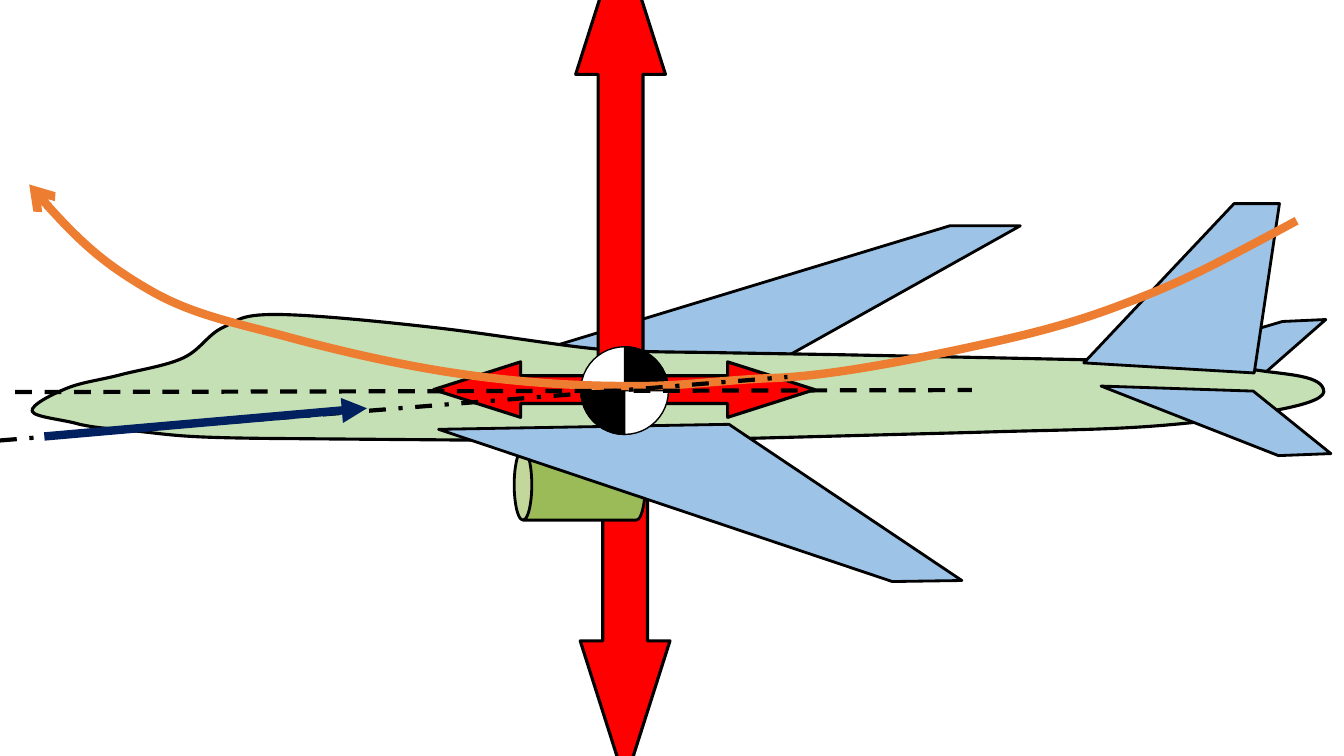
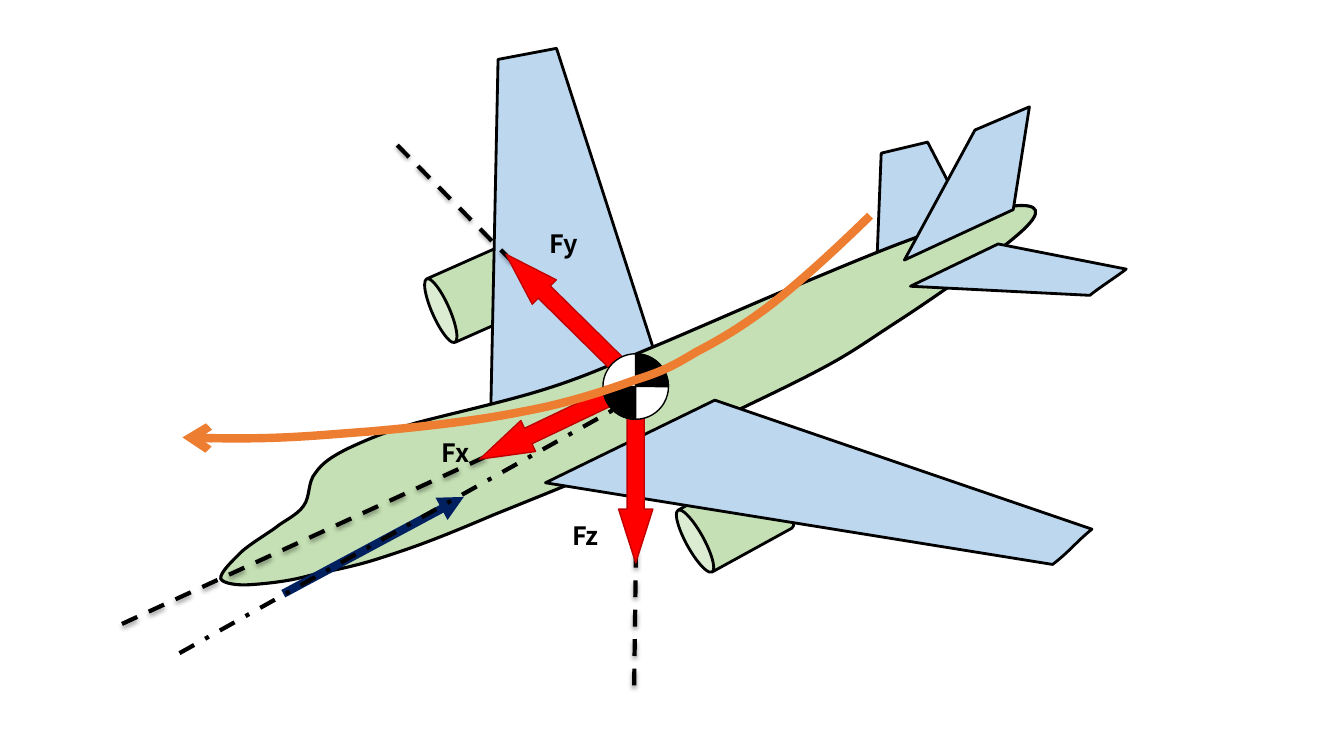
"""Two diagrams of the forces acting on an aircraft."""
from dataclasses import dataclass
from typing import Any, Optional

from lxml import etree
from pptx import Presentation
from pptx import util as u
from pptx.dml.color import RGBColor
from pptx.enum import dml, shapes, text
from pptx.oxml.ns import qn

FONT = "Noto Sans CJK JP"
BLACK = RGBColor(0x00, 0x00, 0x00)
WHITE = RGBColor(0xFF, 0xFF, 0xFF)
RED = RGBColor(0xFF, 0x00, 0x00)
DARK_RED = RGBColor(0xC0, 0x00, 0x00)
NAVY = RGBColor(0x00, 0x20, 0x60)
ORANGE = RGBColor(0xED, 0x7D, 0x31)
BODY_GREEN = RGBColor(0xC5, 0xE0, 0xB4)
ENGINE_GREEN = RGBColor(0x9B, 0xBB, 0x59)
WING_BLUE = RGBColor(0x9D, 0xC3, 0xE6)
PALE_WING_BLUE = RGBColor(0xBD, 0xD7, 0xEE)

Shape = shapes.MSO_SHAPE
Dash = dml.MSO_LINE
ARROW_ADJUSTMENTS = (0.5, 1.57)
QUADRANT_ADJUSTMENTS = (162, 0)  # from 270 to 0 degrees


@dataclass(frozen=True)
class Block:
    """A preset shape; its frame is given before rotation."""
    kind: Any
    left: float
    top: float
    width: float
    height: float
    fill: RGBColor
    rotation: float = 0
    line: RGBColor = BLACK
    weight: float = 2
    adjustments: tuple[float, ...] = ()


@dataclass(frozen=True)
class Outline:
    """A path: two numbers make a straight segment, six a Bezier curve."""
    start: tuple[float, float]
    segments: tuple[tuple[float, ...], ...]
    fill: Optional[RGBColor] = None
    line: RGBColor = BLACK
    weight: float = 2
    head: str = ""


@dataclass(frozen=True)
class Axis:
    """A straight line between two points."""
    begin: tuple[float, float]
    end: tuple[float, float]
    color: RGBColor = BLACK
    weight: float = 3
    dash: Any = None
    tail: str = ""
    shadow: bool = False


@dataclass(frozen=True)
class Gravity:
    """A centre of gravity marker."""
    left: float
    top: float
    size: float


@dataclass(frozen=True)
class Label:
    """The name of a force."""
    wording: str
    left: float
    top: float


def force(left: float, top: float, width: float, height: float, rotation: float,
          line: RGBColor = BLACK, weight: float = 2.25) -> Block:
    """Describe a red block arrow."""
    return Block(Shape.RIGHT_ARROW, left, top, width, height, RED, rotation,
                 line, weight, ARROW_ADJUSTMENTS)


def engine(left: float, top: float, width: float, height: float,
           rotation: float, fill: RGBColor) -> Block:
    """Describe an engine as a tilted can."""
    return Block(Shape.CAN, left, top, width, height, fill, rotation)


def surface(fill: RGBColor, start: tuple[float, float],
            *segments: tuple[float, ...]) -> Outline:
    """Describe a wing, a fin or a tailplane."""
    return Outline(start, segments, fill)


def flight_path(start: tuple[float, float],
                *segments: tuple[float, ...]) -> Outline:
    """Describe the orange curve, with its arrowhead at the start."""
    return Outline(start, segments, line=ORANGE, weight=6, head="arrow")


def wind(begin: tuple[float, float], end: tuple[float, float]) -> Axis:
    """Describe the navy arrow of the incoming air."""
    return Axis(begin, end, NAVY, 6, tail="triangle")


def style_line(shape: Any, color: RGBColor, weight: float, dash: Any = None,
               **ends: str) -> None:
    """Format a line; ends maps headEnd and tailEnd to arrowhead types."""
    shape.line.color.rgb = color
    shape.line.width = u.Pt(weight)
    if dash is not None:
        shape.line.dash_style = dash
    line = shape._element.spPr.find(qn("a:ln"))
    for tag, kind in ends.items():
        if kind:
            etree.SubElement(line, qn(f"a:{tag}"), type=kind)


def draw_block(container: Any, block: Block) -> None:
    """Draw a preset shape."""
    shape = container.add_shape(block.kind, u.Inches(block.left), u.Inches(block.top),
                                u.Inches(block.width), u.Inches(block.height))
    for index, value in enumerate(block.adjustments):
        shape.adjustments[index] = value
    shape.rotation = block.rotation
    shape.fill.solid()
    shape.fill.fore_color.rgb = block.fill
    shape.shadow.inherit = False
    style_line(shape, block.line, block.weight)


def bend_segments(shape: Any, segments: tuple[tuple[float, ...], ...]) -> None:
    """Turn the three straight steps of each six-number segment into a curve."""
    steps = iter(list(shape._element.iter(qn("a:lnTo"))))
    for segment in segments:
        group = [next(steps) for _ in range(len(segment) // 2)]
        if len(group) == 3:
            curve = etree.Element(qn("a:cubicBezTo"))
            group[0].addprevious(curve)
            for step in group:
                curve.append(step[0])
                step.getparent().remove(step)


def draw_outline(container: Any, outline: Outline) -> None:
    """Draw a filled closed outline, or an open one when it has no fill."""
    points = [(u.Inches(x), u.Inches(y)) for segment in outline.segments
              for x, y in zip(segment[::2], segment[1::2])]
    x, y = outline.start
    builder = container.build_freeform(u.Inches(x), u.Inches(y))
    builder.add_line_segments(points, close=outline.fill is not None)
    shape = builder.convert_to_shape()
    bend_segments(shape, outline.segments)
    if outline.fill is None:
        shape.fill.background()
    else:
        shape.fill.solid()
        shape.fill.fore_color.rgb = outline.fill
    shape.shadow.inherit = False
    style_line(shape, outline.line, outline.weight, headEnd=outline.head)


def draw_axis(container: Any, axis: Axis) -> None:
    """Draw a line, with a soft shadow if asked."""
    ends = [u.Inches(value) for value in axis.begin + axis.end]
    connector = container.add_connector(shapes.MSO_CONNECTOR.STRAIGHT, *ends)
    style_line(connector, axis.color, axis.weight, axis.dash, tailEnd=axis.tail)
    effects = etree.SubElement(connector._element.spPr, qn("a:effectLst"))
    if axis.shadow:
        shadow = etree.SubElement(effects, qn("a:outerShdw"), blurRad="40000",
                                  dist="20000", dir="5400000", rotWithShape="0")
        color = etree.SubElement(shadow, qn("a:srgbClr"), val=str(BLACK))
        etree.SubElement(color, qn("a:alpha"), val="38000")


def draw_gravity(container: Any, mark: Gravity) -> None:
    """Draw a white disc with two opposite black quadrants."""
    group = container.add_group_shape().shapes
    frame = (mark.left, mark.top, mark.size, mark.size)
    draw_block(group, Block(Shape.OVAL, *frame, WHITE, weight=1))
    for rotation in (0, 180):
        draw_block(group, Block(Shape.PIE, *frame, BLACK, rotation, weight=1,
                                adjustments=QUADRANT_ADJUSTMENTS))


def add_text(container: Any, wording: str, left: float, top: float, *,
             width: float = 0.66, height: float = 0.4, size: float = 18,
             bold: bool = True, color: RGBColor = BLACK) -> None:
    """Add a text box with one formatted run."""
    box = container.add_textbox(u.Inches(left), u.Inches(top),
                                u.Inches(width), u.Inches(height))
    frame = box.text_frame
    frame.word_wrap = True
    frame.auto_size = text.MSO_AUTO_SIZE.SHAPE_TO_FIT_TEXT
    run = frame.paragraphs[0].add_run()
    run.text = wording
    run.font.name, run.font.size, run.font.bold = FONT, u.Pt(size), bold
    run.font.color.rgb = color


def draw_label(container: Any, label: Label) -> None:
    """Write the name of a force."""
    add_text(container, label.wording, label.left, label.top)


DRAWERS = {Block: draw_block, Outline: draw_outline, Axis: draw_axis,
           Gravity: draw_gravity, Label: draw_label}

SIDE_FUSELAGE = Outline((0.32, 4.08), (
    (0.3, 4.02, 0.52, 3.91, 0.67, 3.85), (0.82, 3.79, 1, 3.77, 1.19, 3.72),
    (1.38, 3.67, 1.65, 3.63, 1.82, 3.55), (1.99, 3.47, 2.06, 3.32, 2.21, 3.25),
    (2.36, 3.18, 2.38, 3.12, 2.73, 3.12), (3.08, 3.12, 3.78, 3.19, 4.31, 3.25),
    (4.84, 3.31, 5.42, 3.41, 5.89, 3.46), (6.37, 3.5, 6.76, 3.49, 7.17, 3.5),
    (8.35, 3.52), (9.86, 3.55), (11.24, 3.58),
    (11.67, 3.6, 12.13, 3.62, 12.45, 3.67), (12.76, 3.72, 13.13, 3.72, 13.13, 3.89),
    (13.1, 4.04, 12.32, 4.12, 11.85, 4.19), (11.12, 4.27, 10.6, 4.26, 9.67, 4.29),
    (6.28, 4.38), (2.63, 4.35),
    (1.81, 4.34, 1.75, 4.32, 1.38, 4.28), (1.08, 4.25, 0.97, 4.25, 0.79, 4.21),
    (0.62, 4.16, 0.34, 4.14, 0.32, 4.08)), BODY_GREEN, weight=2.25)

OBLIQUE_FUSELAGE = Outline((3.76, 5.54), (
    (3.45, 5.64, 3.21, 5.67, 3.03, 5.72), (2.84, 5.77, 2.63, 5.79, 2.49, 5.8),
    (2.36, 5.81, 2.21, 5.79, 2.19, 5.74), (2.18, 5.68, 2.31, 5.56, 2.4, 5.47),
    (2.49, 5.39, 2.66, 5.29, 2.74, 5.23), (2.81, 5.17, 2.95, 5.11, 3.01, 5.02),
    (3.08, 4.93, 3.05, 4.78, 3.13, 4.69), (3.2, 4.59, 3.29, 4.53, 3.45, 4.45),
    (3.62, 4.37, 3.78, 4.3, 4.11, 4.2), (4.44, 4.11, 5.04, 3.98, 5.44, 3.85),
    (5.85, 3.72, 6.14, 3.58, 6.53, 3.42), (6.91, 3.26, 7.34, 3.07, 7.74, 2.9),
    (8.15, 2.73, 8.57, 2.55, 8.94, 2.41), (9.32, 2.27, 9.79, 2.08, 10, 2.05),
    (10.21, 2.02, 10.38, 2.04, 10.19, 2.24), (10.01, 2.43, 9.32, 2.92, 8.87, 3.21),
    (8.41, 3.51, 8.38, 3.56, 7.46, 4), (6.54, 4.45, 5.51, 4.86, 4.89, 5.11),
    (4.28, 5.37, 4.07, 5.44, 3.76, 5.54)), BODY_GREEN, weight=2.25)

SIDE_VIEW = (
    force(4.26, 5.37, 3.88, 0.89, 90),
    surface(WING_BLUE, (12.72, 3.19), (13.15, 3.17), (12.42, 3.81), (10.69, 3.79)),
    surface(WING_BLUE, (9.42, 2.24), (10.12, 2.24), (7.35, 3.79), (4.19, 3.83)),
    SIDE_FUSELAGE,
    surface(WING_BLUE, (12.24, 2.02), (12.69, 2.02), (12.44, 3.7), (10.75, 3.6)),
    surface(WING_BLUE, (12.68, 4.52), (13.2, 4.5), (12.43, 3.88), (10.92, 3.83)),
    engine(5.4, 4.16, 0.7, 1.3, 270, ENGINE_GREEN),
    surface(WING_BLUE, (8.85, 5.77), (9.54, 5.76), (7.23, 4.21), (4.35, 4.26)),
    force(3.87, 1.18, 4.57, 0.89, 270),
    force(6.19, 3.59, 1.89, 0.55, 0),
    force(4.3, 3.59, 1.89, 0.55, 180),
    Gravity(5.76, 3.44, 0.87),
    flight_path(
        (0.29, 1.83), (0.71, 2.33, 1.04, 2.62, 1.47, 2.87),
        (1.91, 3.13, 2.37, 3.21, 2.88, 3.35), (3.4, 3.49, 4.01, 3.63, 4.57, 3.71),
        (5.12, 3.79, 5.69, 3.83, 6.21, 3.83), (6.73, 3.84, 7.15, 3.77, 7.68, 3.75),
        (8.21, 3.73, 8.93, 3.59, 9.5, 3.47), (10.06, 3.35, 10.52, 3.25, 11.08, 3.04),
        (11.64, 2.83, 11.84, 2.74, 12.86, 2.19)),
    Axis((0, 4.37), (7.81, 3.74), dash=Dash.DASH_DOT),
    wind((0.44, 4.33), (3.64, 4.05)),
    Axis((0.15, 3.89), (9.64, 3.87), dash=Dash.DASH),
)

OBLIQUE_VIEW = (
    engine(4.46, 2.33, 0.69, 1.12, 246.1, BODY_GREEN),
    engine(6.94, 4.61, 0.7, 1.08, 241.2, BODY_GREEN),
    surface(PALE_WING_BLUE, (4.94, 0.59), (5.52, 0.48), (6.51, 3.55), (4.86, 4.45)),
    surface(PALE_WING_BLUE, (8.74, 1.52), (9.2, 1.41), (9.65, 2.28), (8.7, 2.53)),
    OBLIQUE_FUSELAGE,
    surface(PALE_WING_BLUE, (9.9, 2.42), (11.17, 2.67),
            (11.11, 2.72, 10.88, 2.87, 10.81, 2.93), (9.03, 2.84)),
    surface(PALE_WING_BLUE, (9.67, 1.29), (10.21, 1.06), (10.05, 2.08), (8.97, 2.58)),
    surface(PALE_WING_BLUE, (7.09, 3.97), (10.83, 5.25),
            (10.67, 5.38, 10.61, 5.47, 10.44, 5.6), (5.41, 4.79)),
    Label("Fy", 5.35, 2.22), Label("Fx", 4.28, 4.29), Label("Fz", 5.58, 5.11),
    Axis((1.21, 6.19), (6.36, 3.82), dash=Dash.DASH, shadow=True),
    force(4.67, 4, 1.79, 0.34, 154.5, DARK_RED, 1),
    Axis((3.94, 1.44), (6.35, 3.88), dash=Dash.DASH, shadow=True),
    force(4.76, 2.98, 1.79, 0.34, 224.6, DARK_RED, 1),
    Axis((6.29, 6.8), (6.33, 3.78), dash=Dash.DASH, shadow=True),
    force(5.41, 4.52, 1.79, 0.34, 90, DARK_RED, 1),
    Gravity(5.98, 3.51, 0.65),
    flight_path(
        (1.81, 4.34), (2.73, 4.37, 3.12, 4.32, 3.68, 4.28),
        (4.24, 4.23, 4.76, 4.17, 5.2, 4.08), (5.64, 4, 6.02, 3.87, 6.3, 3.77),
        (6.59, 3.68, 6.69, 3.62, 6.91, 3.49), (7.14, 3.37, 7.36, 3.24, 7.65, 3.02),
        (7.94, 2.79, 8.24, 2.52, 8.63, 2.14)),
    wind((2.81, 5.89), (4.6, 4.93)),
    Axis((1.78, 6.48), (6.13, 4.04), dash=Dash.DASH_DOT),
)

presentation = Presentation()
presentation.slide_width, presentation.slide_height = u.Inches(13.33), u.Inches(7.5)
for view in (SIDE_VIEW, OBLIQUE_VIEW):
    slide = presentation.slides.add_slide(presentation.slide_layouts[6])
    for part in view:
        DRAWERS[type(part)](slide.shapes, part)
presentation.save("out.pptx")
